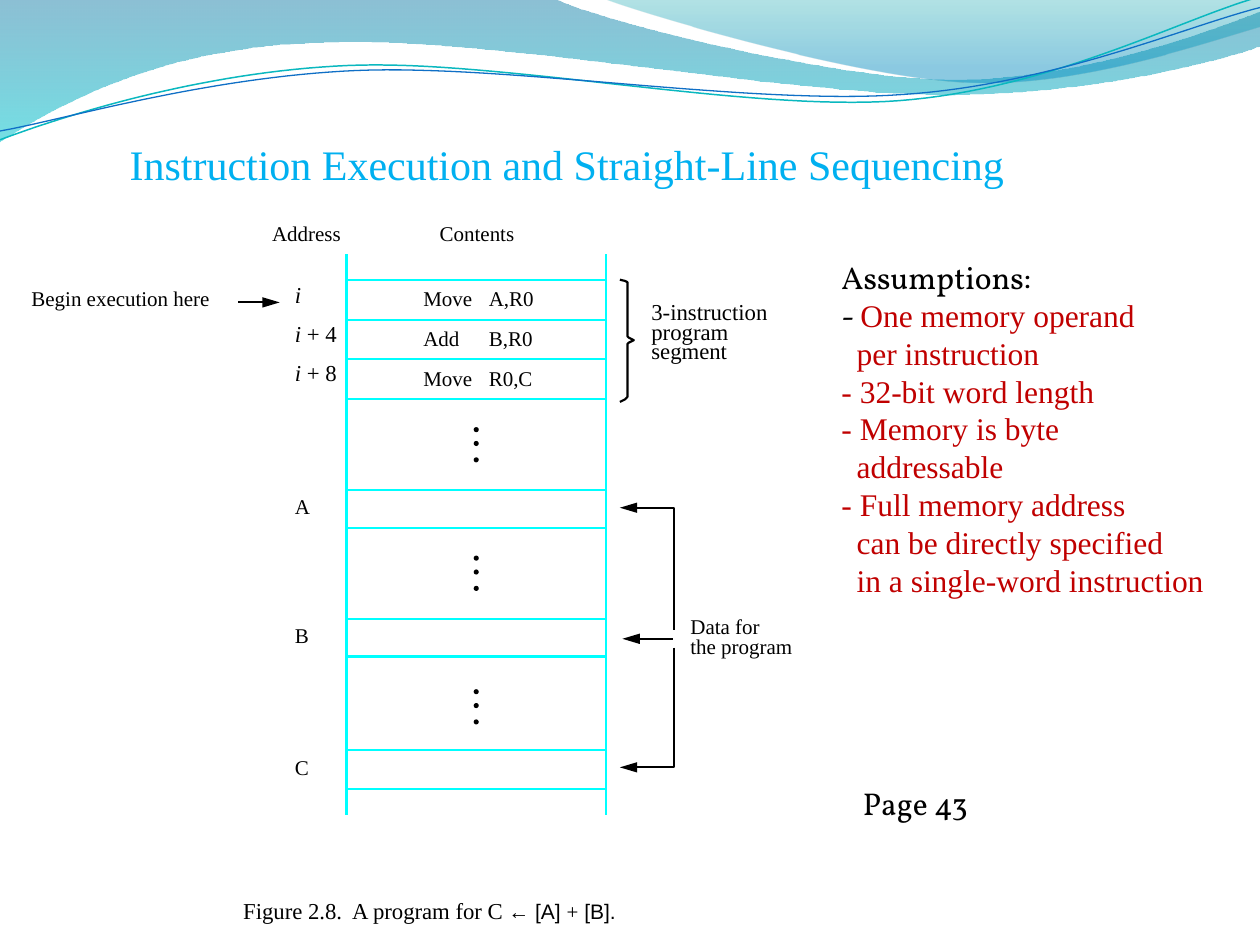
from pptx import Presentation
from pptx.dml.color import RGBColor
from pptx.enum.shapes import MSO_CONNECTOR as Link, MSO_SHAPE as Form
from pptx.enum.text import MSO_ANCHOR as Anchor, MSO_AUTO_SIZE as Auto, PP_ALIGN as Align
from pptx.oxml.ns import qn
from pptx.util import Pt
from lxml.etree import SubElement

PX = 9144
BLACK = RGBColor(0, 0, 0)
CYAN = RGBColor(0, 255, 255)
SKY = RGBColor(0x00, 0xB0, 0xF0)
RED = RGBColor(0xC0, 0, 0)
TEAL = RGBColor(0x0A, 0xB8, 0xBF)
BLUE = RGBColor(0x0F, 0x6F, 0xC6)
DEEP = RGBColor(0x00, 0x74, 0xA1)
AQUA = RGBColor(0x00, 0xC6, 0xCF)
SEA = RGBColor(0x00, 0xA1, 0xA9)
LAKE = RGBColor(0x00, 0x8B, 0xBF)
SERIF, BOOK, SANS = "Times New Roman", "Vollkorn", "Arial"


def style(run, size, face=SERIF, color=BLACK, italic=None):
    """Set the look of one run."""
    font = run.font
    font.size, font.name, font.italic = Pt(size), face, italic
    font.color.rgb = color


def frame(slide, x, y, w, h, wrap=False, inset=True):
    """Add a text box and return its text frame."""
    text = slide.shapes.add_textbox(x * PX, y * PX, w * PX, h * PX).text_frame
    text.word_wrap, text.auto_size = wrap, Auto.SHAPE_TO_FIT_TEXT
    if not inset:
        text.margin_left = text.margin_right = text.margin_top = text.margin_bottom = 0
    return text


def label(slide, x, y, w, words, size=12, pitch=None):
    """Add a tight label, one paragraph for each line of words."""
    text = frame(slide, x, y, w, 20, inset=False)
    text.text = words
    for para in text.paragraphs:
        if pitch:
            para.line_spacing = Pt(pitch)
        for run in para.runs:
            style(run, size)


def index(slide, x, y, tail, w):
    """Add an address made of an italic i and an upright tail."""
    para = frame(slide, x, y, w, 22, inset=False).paragraphs[0]
    for words, slant in (("i", True), (tail, None)):
        if words:
            run = para.add_run()
            run.text = words
            style(run, 13, italic=slant)


def head(shape):
    """Put a long arrowhead at the end of a line."""
    SubElement(shape.line._get_or_add_ln(), qn("a:tailEnd"), type="triangle", w="med", len="lg")


def rule(slide, x1, y1, x2, y2, color=CYAN):
    """Add a straight line without a shadow."""
    line = slide.shapes.add_connector(Link.STRAIGHT, x1 * PX, y1 * PX, x2 * PX, y2 * PX)
    line.line.color.rgb, line.line.width = color, Pt(1.25)
    SubElement(line._element.spPr, qn("a:effectLst"))
    return line


def outline(slide, x, y, points, color=BLACK, width=1.25, close=False):
    """Add a freeform through points counted from x, y."""
    spots = [((x + px) * PX, (y + py) * PX) for px, py in points]
    build = slide.shapes.build_freeform(*spots[0], scale=1.0)
    build.add_line_segments(spots[1:], close=close)
    shape = build.convert_to_shape()
    shape.shadow.inherit = False
    if close:
        shape.line.fill.background()
    else:
        shape.fill.background()
        shape.line.color.rgb, shape.line.width = color, Pt(width)
    return shape


def trace(start, *parts, steps=32):
    """Turn lines (one point) and Bezier curves (three points) into points."""
    points = [start]
    for part in parts:
        if len(part) == 1:
            points.append(part[0])
            continue
        knots = (points[-1], *part)
        for step in range(1, steps + 1):
            t = step / steps
            mix = ((1 - t) ** 3, 3 * t * (1 - t) ** 2, 3 * t * t * (1 - t), t ** 3)
            points.append(tuple(sum(m * k[axis] for m, k in zip(mix, knots)) for axis in (0, 1)))
    return points


def fade(shape, *stops):
    """Fill a shape from top to bottom with clear colour stops."""
    shape.fill.gradient()
    shape.fill.gradient_angle = 270
    for stop, (place, color, alpha) in zip(shape.fill.gradient_stops, stops):
        stop.position, stop.color.rgb = place, color
    for node, (place, color, alpha) in zip(shape._element.spPr.iter(qn("a:srgbClr")), stops):
        SubElement(node, qn("a:alpha"), val=str(alpha * 1000))


def waves(slide, x, y):
    """Draw the wave band along the top."""
    band = trace((0, 0), ((440, -1),), ((476, 17), (664, 63), (758, 63)),
                 ((853, 63), (958, 26), (1000, 9)), ((1001, 36),),
                 ((983, 44), (870, 76), (746, 75)), ((622, 75), (382, 28), (257, 34)),
                 ((129, 36), (46, 83), (-1, 113)))
    fade(outline(slide, x, y, band, close=True), (0, DEEP, 45), (1, AQUA, 55))
    crest = trace((479, -1), ((509, 11), (682, 62), (769, 65)),
                  ((856, 69), (961, 32), (1000, 21)), ((1000, 0),))
    fade(outline(slide, x, y, crest, close=True), (0, SEA, 30), (0.8, LAKE, 45))
    upper = trace((0, 111), ((48, 93), (158, 57), (277, 52)),
                  ((395, 47), (593, 89), (713, 80)), ((833, 71), (938, 15), (998, -2)))
    outline(slide, x, y, upper, TEAL, 0.85)
    lower = trace((0, 104), ((47, 96), (164, 61), (283, 56)),
                  ((403, 51), (597, 84), (717, 75)), ((836, 67), (941, 21), (1000, 6)))
    outline(slide, x, y, lower, BLUE, 0.75)


def title(slide, x, y, w, h):
    """Write the heading at the bottom of its box."""
    text = frame(slide, x, y, w, h, wrap=True, inset=False)
    text.auto_size, text.vertical_anchor = Auto.NONE, Anchor.BOTTOM
    text.text = "Instruction Execution and Straight-Line Sequencing"
    text.paragraphs[0].alignment = Align.CENTER
    style(text.paragraphs[0].runs[0], 24, color=SKY)


def memory(slide, x, y, w, h):
    """Draw the memory column with its addresses and contents."""
    for side in (x, x + w):
        rule(slide, side, y, side, y + h)
    for row in (20, 52, 83, 115, 187, 217, 289, 319, 393, 424):
        rule(slide, x, y + row, x + w, y + row)
    label(slide, x - 59, y - 27, 61, "Address")
    label(slide, x + 74, y - 27, 66, "Contents")
    code = (("Move", 41, "A,R0", 25), ("Add", 30, "B,R0", 56), ("Move", 41, "R0,C", 88))
    for verb, wide, args, top in code:
        label(slide, x + 61, y + top, wide, verb)
        label(slide, x + 113, y + top, 37, args)
    for tail, wide, top in (("", 4, 21), (" + 4", 36, 52), (" + 8", 36, 83)):
        index(slide, x - 41, y + top, tail, wide)
    for name, top in (("A", 190), ("B", 292), ("C", 397)):
        label(slide, x - 41, y + top, 12, name)
    for top in (137, 239, 345):
        for gap in (0, 11, 24):
            dot = slide.shapes.add_shape(Form.OVAL, (x + 101) * PX, (y + top + gap) * PX, 4 * PX, 4 * PX)
            dot.shadow.inherit = False
            dot.fill.solid()
            dot.fill.fore_color.rgb = BLACK
            dot.line.fill.background()


def start(slide, x, y):
    """Mark where execution begins."""
    label(slide, x, y, 156, "Begin execution here")
    head(rule(slide, x + 164, y + 13, x + 197, y + 13, BLACK))


def segment(slide, x, y):
    """Draw the brace beside the program with its label."""
    outline(slide, x, y, [(0, 0), (4, 1), (6, 2), (6, 45), (7, 46), (11, 48),
                          (7, 50), (6, 51), (6, 93), (4, 95), (0, 97)])
    label(slide, x + 25, y + 21, 99, "3-instruction\nprogram\nsegment", 13, 11)


def data(slide, x, y):
    """Draw the arrows to the data words with their label."""
    for far, near in ((0, 97), (206, 111)):
        head(outline(slide, x, y, [(43, near), (43, far), (0, far)]))
    head(rule(slide, x + 42, y + 104, x + 2, y + 104, BLACK))
    label(slide, x + 56, y + 88, 90, "Data for\nthe program", 12, 11.5)


def caption(slide, x, y):
    """Write the figure caption."""
    para = frame(slide, x, y, 319, 22, inset=False).paragraphs[0]
    parts = (("Figure 2.8.  A program for C ", 13, SERIF), ("← [Α] ", 12, SANS),
             ("+", 12, SERIF), (" [Β].", 12, SANS))
    for words, size, face in parts:
        run = para.add_run()
        run.text = words
        style(run, size, face)


def notes(slide, x, y, w, h):
    """Write the list of assumptions with hanging dashes."""
    text = frame(slide, x, y, w, h)
    text.text = "Assumptions:"
    style(text.paragraphs[0].runs[0], 18, BOOK)
    points = (("One memory operand", "per instruction"), ("32-bit word length",),
              ("Memory is byte", "addressable"),
              ("Full memory address", "can be directly specified", "in a single-word instruction"))
    for spot, lines in enumerate(points):
        para = text.add_paragraph()
        props = para._p.get_or_add_pPr()
        props.set("marL", str(12 * PX))
        props.set("indent", str(-12 * PX))
        para.text = "- " + "\v".join(lines) if spot else "- "
        if not spot:
            para.add_run().text = lines[0]
            para.add_line_break()
            para.add_run().text = lines[1]
        for run in para.runs:
            style(run, 18, color=RED)
        if not spot:
            style(para.runs[0], 18, BOOK)


def page(slide, x, y):
    """Write the page reference."""
    text = frame(slide, x, y, 150, 40, wrap=True)
    text.text = "Page 43"
    style(text.paragraphs[0].runs[0], 18, BOOK)


def main():
    """Build the slide and save it."""
    deck = Presentation()
    deck.slide_width, deck.slide_height = 1000 * PX, 750 * PX
    slide = deck.slides.add_slide(deck.slide_layouts[6])
    waves(slide, 0, 0)
    title(slide, 0, 25, 900, 125)
    memory(slide, 275, 202, 206, 445)
    start(slide, 25, 227)
    segment(slide, 492, 222)
    data(slide, 492, 403)
    caption(slide, 193, 712)
    notes(slide, 658, 200, 311, 283)
    page(slide, 675, 617)
    deck.save("out.pptx")


if __name__ == "__main__":
    main()
